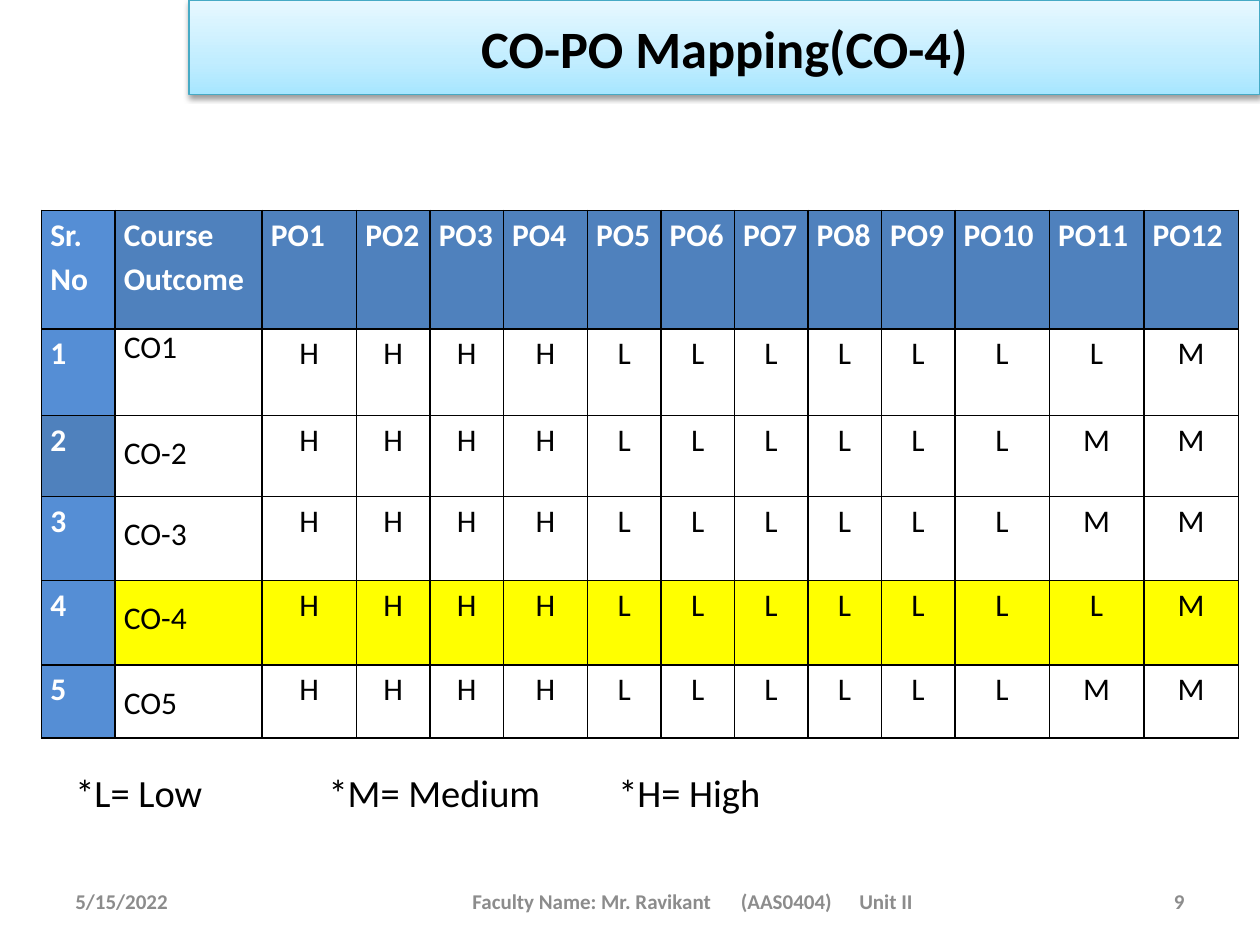
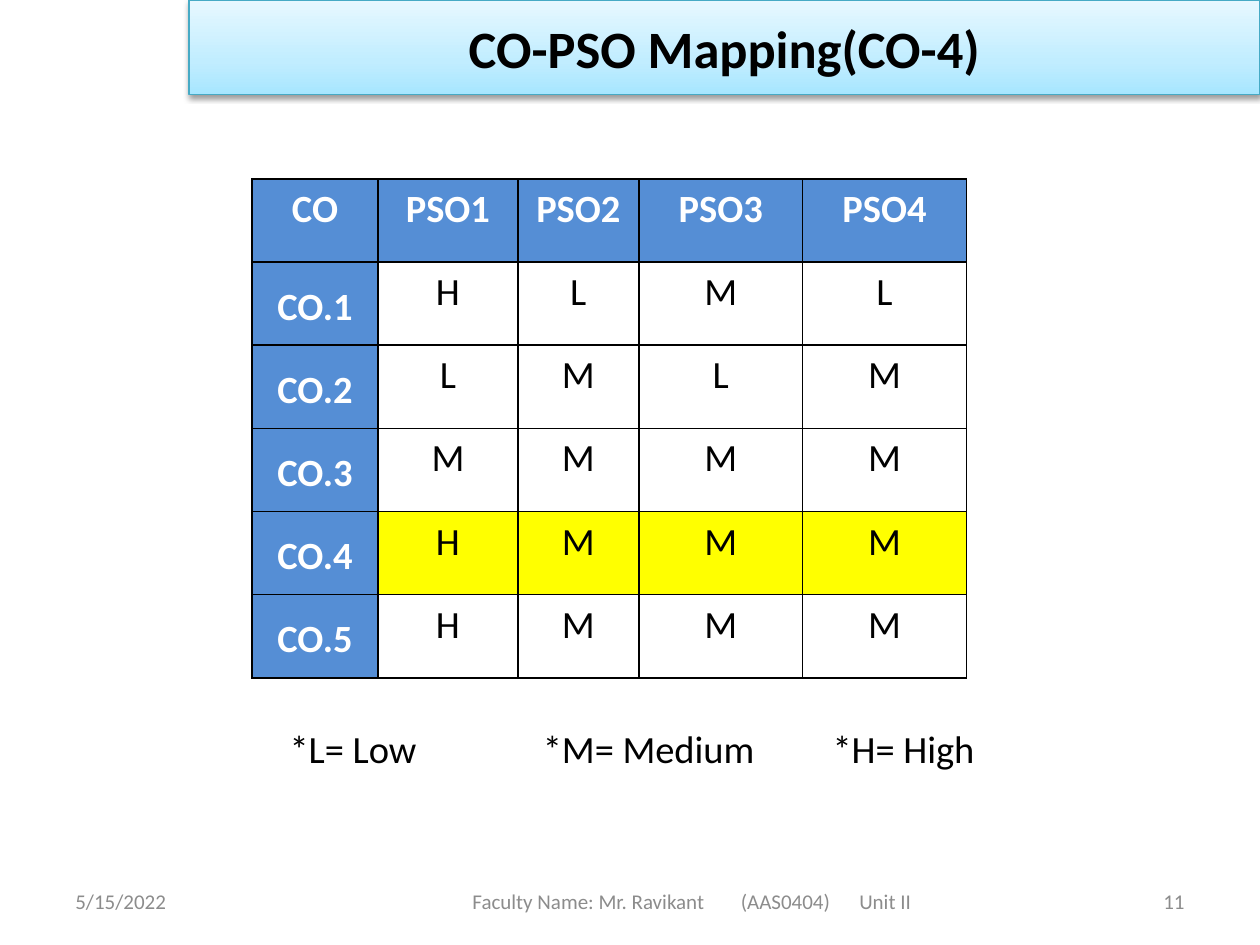
import pptx
import pptx.dml.color
import pptx.enum.shapes
import pptx.enum.text
import pptx.oxml
import pptx.oxml.ns
import pptx.util
from pptx.util import Inches

ALIGN = pptx.enum.text.PP_ALIGN
ANCHOR = pptx.enum.text.MSO_ANCHOR
NS = pptx.oxml.ns.nsdecls("a")
FONT = "Calibri"
COLOURS = {
    "text": "000000",
    "white": "FFFFFF",
    "footer": "8C8C8C",
    "header": "4F81BD",
    "header_light": "558ED5",
    "highlight": "FFFF00",
    "band_line": "46AAC5",
    "band_dark": "A7E6FF",
    "band_mid": "C1EDFF",
    "band_light": "E7F8FF",
}
BAND_STOPS = ((0, "band_dark"), (35, "band_mid"), (100, "band_light"))
TITLE_BOX = (1.5, 0, 8.5, 0.75)
FOOTER_TOP, FOOTER_HEIGHT = 6.95, 0.4
CELL_INSET = 0.07
LEGEND_TABS = (2.01, 4.31)
FACULTY_TABS = (2.13, 3.07)


def rgb(name):
    """Return the named colour of the palette."""
    return pptx.dml.color.RGBColor.from_string(COLOURS[name])


def write(paragraph, text, size, colour="text", bold=False, align=ALIGN.LEFT, tabs=()):
    """Write one run, with tab stops given in inches from the text edge."""
    if tabs:
        stops = "".join(f'<a:tab pos="{Inches(tab)}" algn="l"/>' for tab in tabs)
        paragraph._p.get_or_add_pPr().append(
            pptx.oxml.parse_xml(f"<a:tabLst {NS}>{stops}</a:tabLst>"))
    paragraph.alignment = align
    run = paragraph.add_run()
    run.text = text
    run.font.name = FONT
    run.font.size = pptx.util.Pt(size)
    run.font.bold = bold
    run.font.color.rgb = rgb(colour)


def add_label(slide, box, text, size, inset=0.1, **style):
    """Add a vertically centred line of text in the box."""
    frame = slide.shapes.add_textbox(*map(Inches, box)).text_frame
    frame.word_wrap = True
    frame.vertical_anchor = ANCHOR.MIDDLE
    frame.margin_left = Inches(inset)
    write(frame.paragraphs[0], text, size, **style)


def add_title(slide, box, title):
    """Add the shaded title band."""
    band = slide.shapes.add_shape(
        pptx.enum.shapes.MSO_SHAPE.RECTANGLE, *map(Inches, box))
    band.fill.gradient()
    band.fill.gradient_angle = 90
    stops = band._element.spPr.find(".//" + pptx.oxml.ns.qn("a:gsLst"))
    stops.clear()
    for percent, name in BAND_STOPS:
        stops.append(pptx.oxml.parse_xml(
            f'<a:gs {NS} pos="{percent * 1000}">'
            f'<a:srgbClr val="{COLOURS[name]}"/></a:gs>'))
    band.line.color.rgb = rgb("band_line")
    band.line.width = pptx.util.Pt(0.75)
    band._element.spPr.append(pptx.oxml.parse_xml(
        f'<a:effectLst {NS}><a:outerShdw blurRad="40000" dist="20000" dir="5400000" '
        f'rotWithShape="0"><a:srgbClr val="{COLOURS["text"]}"><a:alpha val="38000"/>'
        '</a:srgbClr></a:outerShdw></a:effectLst>'))
    band.text_frame.vertical_anchor = ANCHOR.MIDDLE
    write(band.text_frame.paragraphs[0], title, 30, bold=True, align=ALIGN.CENTER)


def add_footer(slide, number, bold):
    """Add the date, the faculty line and the slide number."""
    style = {"size": 12, "colour": "footer", "bold": bold}
    add_label(slide, (0.5, FOOTER_TOP, 2.33, FOOTER_HEIGHT), "5/15/2022", **style)
    add_label(slide, (2.75, FOOTER_TOP, 5.5, FOOTER_HEIGHT),
              "Faculty Name: Mr. Ravikant\t(AAS0404)\tUnit II",
              inset=1, tabs=FACULTY_TABS, **style)
    add_label(slide, (7.17, FOOTER_TOP, 2.33, FOOTER_HEIGHT), str(number),
              align=ALIGN.RIGHT, **style)


def add_legend(slide, left, top):
    """Add the key to the mapping levels."""
    add_label(slide, (left, top, 6.2, 0.5), "*L= Low\t*M= Medium\t*H= High", 22,
              tabs=LEGEND_TABS)


def add_grid(slide, left, top, widths, heights):
    """Add a table with the given column widths and row heights."""
    grid = slide.shapes.add_table(
        len(heights), len(widths), Inches(left), Inches(top),
        Inches(sum(widths)), Inches(sum(heights))).table
    for column, width in zip(grid.columns, widths):
        column.width = Inches(width)
    for row, height in zip(grid.rows, heights):
        row.height = Inches(height)
    return grid


def fill_cell(cell, text, size, fill="white", spacing=1.15, anchor=ANCHOR.TOP, **style):
    """Border, fill and write one table cell."""
    properties = cell._tc.get_or_add_tcPr()
    for side in "LRTB":
        properties.append(pptx.oxml.parse_xml(
            f'<a:ln{side} {NS} w="12700"><a:solidFill>'
            f'<a:srgbClr val="{COLOURS["text"]}"/></a:solidFill></a:ln{side}>'))
    cell.fill.solid()
    cell.fill.fore_color.rgb = rgb(fill)
    cell.margin_left = cell.margin_right = Inches(CELL_INSET)
    cell.margin_top = cell.margin_bottom = 0
    cell.vertical_anchor = anchor
    paragraph = cell.text_frame.paragraphs[0]
    paragraph.line_spacing = spacing
    write(paragraph, text, size, **style)


def fill_levels(grid, row, first_column, levels, size, fill):
    """Write one letter of levels in each cell of a row."""
    for column, level in enumerate(levels, first_column):
        fill_cell(grid.cell(row, column), level, size, fill, align=ALIGN.CENTER)


def add_po_table(slide, left, top):
    """Add the table of course outcomes against programme outcomes."""
    outcomes = (("CO1", "HHHHLLLLLLLM"), ("CO-2", "HHHHLLLLLLMM"),
                ("CO-3", "HHHHLLLLLLMM"), ("CO-4", "HHHHLLLLLLLM"),
                ("CO5", "HHHHLLLLLLMM"))
    twelfths = (7, 14, 9, 7, 7, 8) + (7,) * 5 + (9,) * 3
    grid = add_grid(slide, left, top, [part / 12 for part in twelfths],
                    (0.94, 0.69, 0.64, 0.67, 0.67, 0.58))
    heading = {"size": 18, "colour": "white", "bold": True}
    headings = ["Sr. No", "Course Outcome"] + [f"PO{n}" for n in range(1, 13)]
    for column, text in enumerate(headings):
        fill_cell(grid.cell(0, column), text,
                  fill="header" if column else "header_light", **heading)
    for row, (outcome, levels) in enumerate(outcomes, 1):
        fill = "highlight" if row == 4 else "white"
        fill_cell(grid.cell(row, 0), str(row),
                  fill="header" if row == 2 else "header_light", **heading)
        fill_cell(grid.cell(row, 1), outcome, 18, fill,
                  spacing=1.0 if row == 1 else 1.5,
                  align=ALIGN.LEFT if row == 1 else ALIGN.JUSTIFY)
        fill_levels(grid, row, 2, levels, 18, fill)


def add_pso_table(slide, left, top):
    """Add the table of course outcomes against programme specific outcomes."""
    outcomes = ("HLML", "LMLM", "MMMM", "HMMM", "HMMM")
    grid = add_grid(slide, left, top, (1, 1.11, 0.96, 1.3, 1.3), (0.66,) * 6)
    heading = {"size": 22, "fill": "header_light", "colour": "white", "bold": True,
               "align": ALIGN.CENTER}
    for column, text in enumerate(["CO"] + [f"PSO{n}" for n in range(1, 5)]):
        fill_cell(grid.cell(0, column), text, **heading)
    for row, levels in enumerate(outcomes, 1):
        fill_cell(grid.cell(row, 0), f"CO.{row}", anchor=ANCHOR.MIDDLE, **heading)
        fill_levels(grid, row, 1, levels, 22, "highlight" if row == 4 else "white")


def add_mapping_slide(deck, title, number, bold_footer):
    """Add a slide with the shared title band and footer."""
    slide = deck.slides.add_slide(deck.slide_layouts[6])
    add_footer(slide, number, bold_footer)
    add_title(slide, TITLE_BOX, title)
    return slide


def main():
    """Build the two mapping slides."""
    deck = pptx.Presentation()
    deck.slide_width, deck.slide_height = Inches(10), Inches(7.5)

    po_slide = add_mapping_slide(deck, "CO-PO Mapping(CO-4)", 9, True)
    add_legend(po_slide, 0.5, 6.04)
    add_po_table(po_slide, 0.33, 1.67)

    pso_slide = add_mapping_slide(deck, "CO-PSO Mapping(CO-4)", 11, False)
    add_legend(pso_slide, 2.2, 5.69)
    add_pso_table(pso_slide, 2, 1.42)

    deck.save("out.pptx")


if __name__ == "__main__":
    main()
